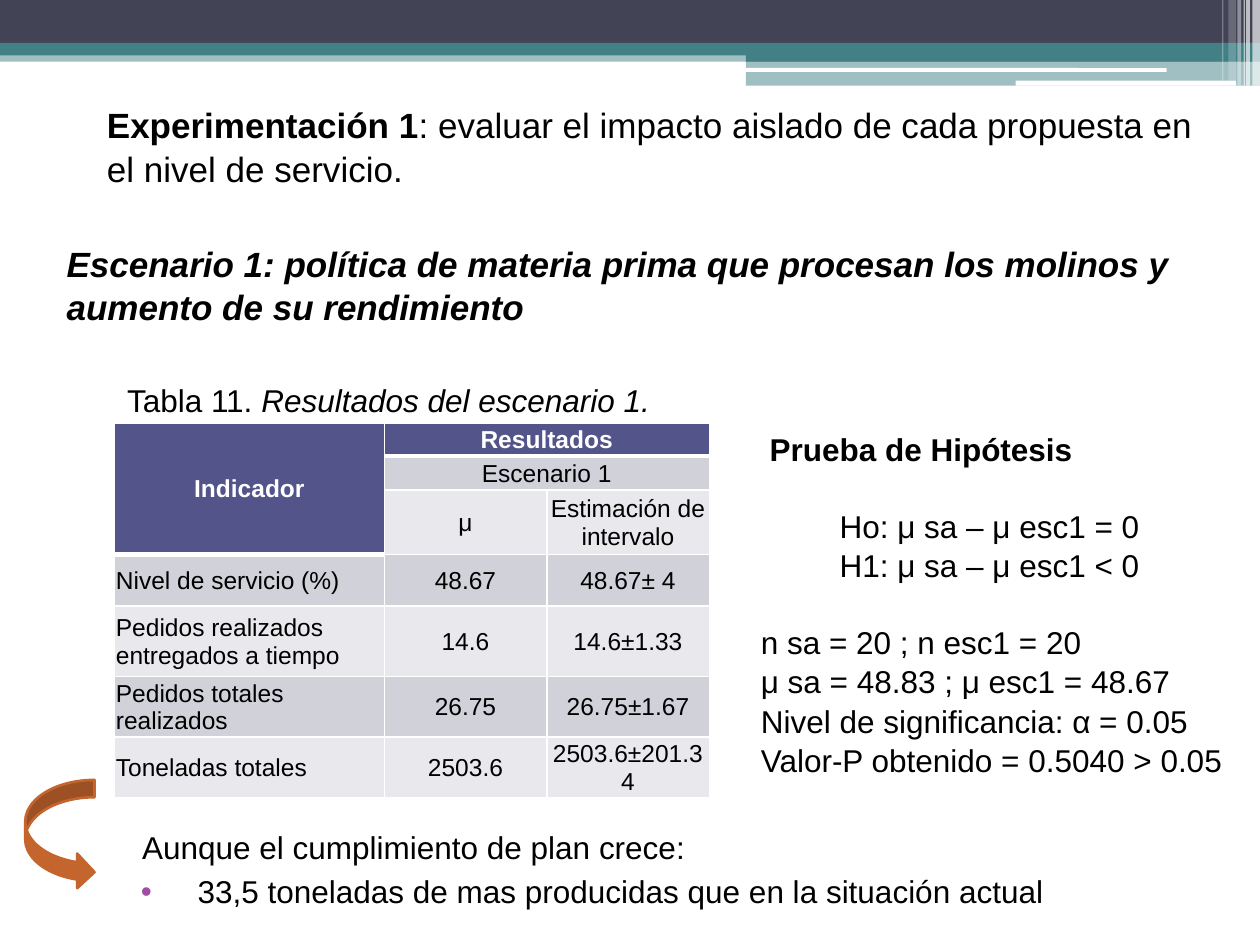
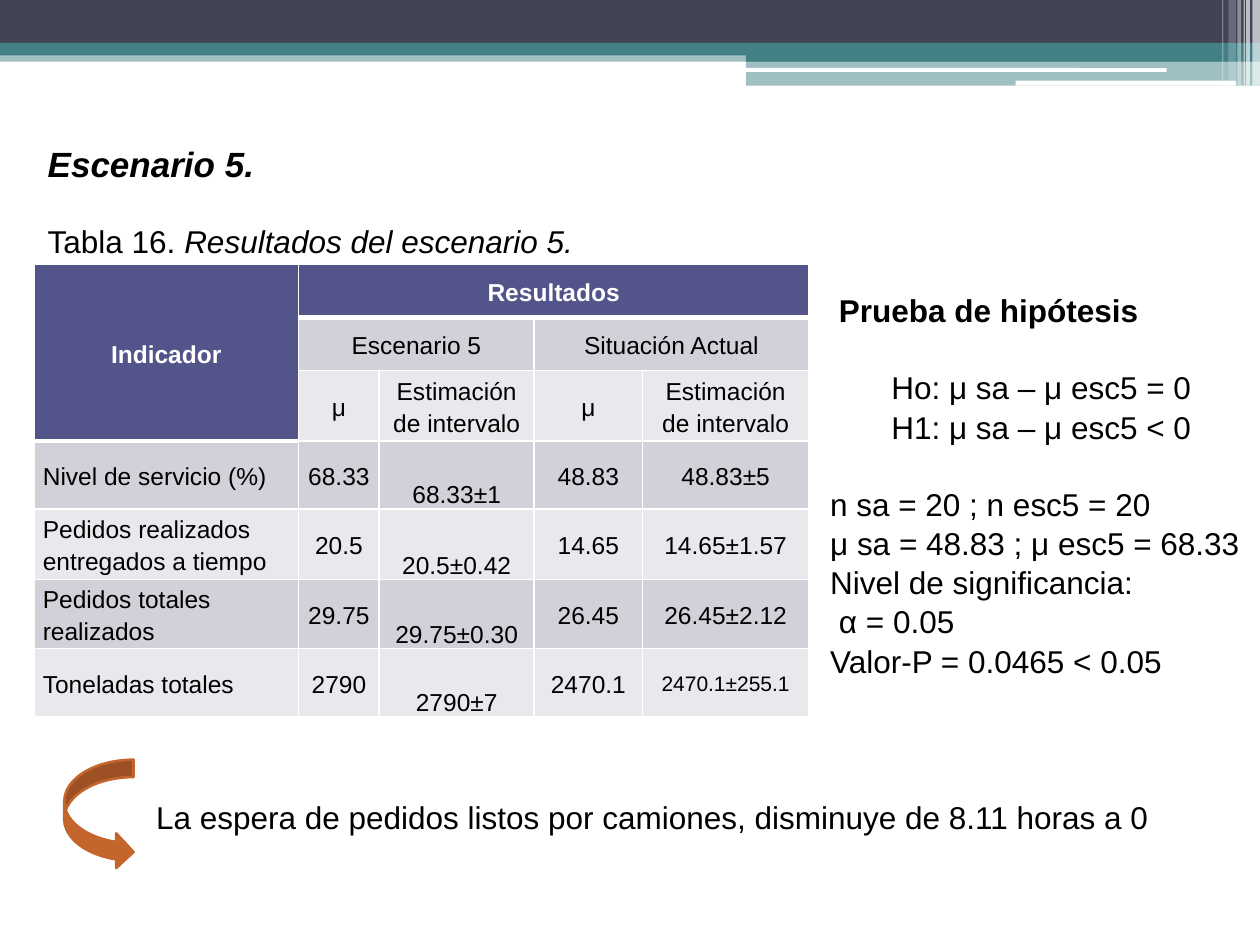
"""Build two slides on experiment results, each with a table and a test."""
from dataclasses import dataclass
from typing import Any

from lxml.etree import SubElement as Sub
from pptx import Presentation as Deck
from pptx.dml.color import RGBColor as Rgb
from pptx.enum.shapes import MSO_SHAPE as Kind
from pptx.enum.text import MSO_ANCHOR as Anchor, PP_ALIGN as Align
from pptx.oxml.ns import qn
from pptx.util import Inches, Pt

WIDE, TALL = Inches(10), Inches(7.5)
COLS, ROWS = 100, 75


@dataclass(frozen=True)
class Theme:
    """Colours, font and type sizes of the deck."""
    face: str = "Arial"
    ink: str = "000000"
    white: str = "FFFFFF"
    slate: str = "424456"
    teal: str = "438086"
    head: str = "53548A"
    dark: str = "D1D1DA"
    light: str = "E9E9ED"
    rust: str = "C4652D"
    dot: str = "A04DA3"
    title: int = 20
    body: int = 18
    cell: int = 14
    small: int = 12
    lead: float = 1.04
    blank: float = 21.6


T = Theme()


@dataclass(frozen=True)
class Box:
    """A place on the grid, in columns and rows."""
    x: float
    y: float
    w: float
    h: float


@dataclass(frozen=True)
class Band:
    """A filled bar of the page header."""
    box: Box
    fill: str
    alpha: int = 100
    kind: Any = Kind.RECTANGLE


@dataclass(frozen=True)
class Bit:
    """A stretch of text in one style."""
    text: str
    bold: bool = False
    slant: bool = False


@dataclass(frozen=True)
class Line:
    """A paragraph with its gap in points and its indent in columns."""
    bits: tuple[Bit, ...]
    gap: float = 0
    left: float = 0
    hang: float = 0
    mark: str = ""


@dataclass(frozen=True)
class Grid:
    """A table with its sizes, merged spans and cell style."""
    x: float
    y: float
    cols: tuple[float, ...]
    rows: tuple[float, ...]
    cells: tuple[tuple[str, ...], ...]
    spans: tuple[tuple[int, int, int, int], ...]
    side: float
    top: float
    lead: float
    low: int = -1
    tight: str = ""


BANDS = (
    Band(Box(0, 4, 100, 0.9), T.teal, 50),
    Band(Box(0, 0, 100, 3.4), T.slate),
    Band(Box(0, 3.4, 100, 1), T.teal),
    Band(Box(59.2, 3.9, 40.8, 1), T.teal),
    Band(Box(59.2, 4.8, 40.8, 2), T.teal, 50),
    Band(Box(59.1, 5.4, 33.5, 0.3), T.white, 100, Kind.ROUNDED_RECTANGLE),
    Band(Box(80.6, 6.4, 17.5, 0.4), T.white, 100, Kind.ROUNDED_RECTANGLE),
    *(Band(Box(x, 0, w, h), T.white, a) for x, w, h, a in (
        (99.4, 0.6, 6.8, 65), (98.9, 0.3, 6.8, 65), (98.7, 0.1, 6.8, 60),
        (98.2, 0.3, 6.8, 40), (97.5, 0.6, 6.4, 20), (97, 0.1, 6.4, 30))),
)

NAMES = ("Nivel de servicio (%)", "Pedidos realizados entregados a tiempo",
         "Pedidos totales realizados", "Toneladas totales")
SPAN = "Estimación de intervalo"


def col(n: float) -> int:
    """Turn grid columns into a length."""
    return round(WIDE * n / COLS)


def row(n: float) -> int:
    """Turn grid rows into a length."""
    return round(TALL * n / ROWS)


def place(box: Box) -> tuple[int, int, int, int]:
    """Turn a box into left, top, width and height."""
    return col(box.x), row(box.y), col(box.w), row(box.h)


def shape(slide: Any, kind: Any, box: Box, fill: str) -> Any:
    """Draw a flat shape with no outline."""
    item = slide.shapes.add_shape(kind, *place(box))
    item.shadow.inherit = False
    item.fill.solid()
    item.fill.fore_color.rgb = Rgb.from_string(fill)
    item.line.fill.background()
    return item


def header(slide: Any) -> None:
    """Draw the bands along the top."""
    for band in BANDS:
        item = shape(slide, band.kind, band.box, band.fill)
        if band.alpha < 100:
            tint = item.element.spPr.find(f".//{qn('a:srgbClr')}")
            Sub(tint, qn("a:alpha"), val=str(band.alpha * 1000))


def arrow(slide: Any, x: float, y: float) -> None:
    """Draw the curved arrow that leads to the finding."""
    item = shape(slide, Kind.CURVED_RIGHT_ARROW, Box(x, y, 5.5, 8.7), T.rust)
    item.line.color.rgb = Rgb.from_string(T.rust)
    item.line.width = Pt(1.5)


def style(para: Any, size: int, tint: str) -> None:
    """Set face, size and colour of a paragraph."""
    para.font.name = T.face
    para.font.size = Pt(size)
    para.font.color.rgb = Rgb.from_string(tint)


def indent(para: Any, line: Line) -> None:
    """Set the indent and the bullet of a paragraph."""
    props = para._p.get_or_add_pPr()
    props.set("marL", str(col(line.left)))
    props.set("indent", str(-col(line.hang)))
    if line.mark:
        Sub(Sub(props, qn("a:buClr")), qn("a:srgbClr"), val=T.dot)
        Sub(props, qn("a:buFont"), typeface=T.face)
        Sub(props, qn("a:buChar"), char=line.mark)


def write(slide: Any, box: Box, lines: tuple[Line, ...],
          size: int = T.body) -> None:
    """Put lines of text in a box."""
    frame = slide.shapes.add_textbox(*place(box)).text_frame
    frame.word_wrap = True
    for i, line in enumerate(lines):
        para = frame.add_paragraph() if i else frame.paragraphs[0]
        para.line_spacing = T.lead
        if line.gap:
            para.space_before = Pt(line.gap)
        indent(para, line)
        style(para, size, T.ink)
        runs = [para.add_run() for _ in line.bits]
        for run, bit in zip(runs, line.bits):
            run.text = bit.text
            font = run.font if len(runs) > 1 else para.font
            font.bold, font.italic = bit.bold, bit.slant


def plain(text: str, gap: float = 0, left: float = 0) -> Line:
    """Make a line in the plain style."""
    return Line((Bit(text),), gap, left)


def label(slide: Any, box: Box, num: str, text: str) -> None:
    """Write the caption of a table."""
    write(slide, box, (Line((Bit(f"Tabla {num}. "), Bit(text, slant=True))),))


def proof(slide: Any, box: Box, head: str, left: float, case: str,
          facts: tuple[Line, ...]) -> None:
    """Write the test: its head, both claims and the facts."""
    write(slide, box, (
        Line((Bit(head, bold=True),), left=0.7),
        plain(f"Ho: μ sa – μ {case} = 0", T.blank, left),
        plain(f"H1: μ sa – μ {case} < 0", 0, left),
        plain(f"n sa = 20 ; n {case} = 20", T.blank), *facts))


def border(cell: Any, thick: bool) -> None:
    """Give a cell white rules, with a thick one below if asked."""
    props = cell._tc.get_or_add_tcPr()
    for i, side in enumerate("LRTB"):
        width = Pt(3 if thick and side == "B" else 1)
        edge = Sub(props, qn(f"a:ln{side}"), w=str(width))
        Sub(Sub(edge, qn("a:solidFill")), qn("a:srgbClr"), val=T.white)
        props.insert(i, edge)


def table(slide: Any, grid: Grid) -> None:
    """Draw a table of results."""
    box = Box(grid.x, grid.y, sum(grid.cols), sum(grid.rows))
    item = slide.shapes.add_table(
        len(grid.rows), len(grid.cols), *place(box)).table
    for c, width in enumerate(grid.cols):
        item.columns[c].width = col(width)
    for r, texts in enumerate(grid.cells):
        item.rows[r].height = row(grid.rows[r])
        for c, text in enumerate(texts):
            cell = item.cell(r, c)
            head = r == 0 or (c == 0 and r < 3)
            fill = T.head if head else T.dark if r % 2 else T.light
            cell.fill.solid()
            cell.fill.fore_color.rgb = Rgb.from_string(fill)
            border(cell, head)
            cell.margin_left = cell.margin_right = col(grid.side)
            cell.margin_top, cell.margin_bottom = row(grid.top), 0
            low = r > 2 and c == grid.low
            cell.vertical_anchor = Anchor.BOTTOM if low else Anchor.MIDDLE
            para = cell.text_frame.paragraphs[0]
            para.alignment = Align.LEFT if c == 0 and r > 2 else Align.CENTER
            para.line_spacing = grid.lead
            tight = bool(text) and text == grid.tight
            style(para, T.small if tight else T.cell,
                  T.white if head else T.ink)
            para.font.bold = head
            if text:
                para.add_run().text = text
    for top, left, end, last in grid.spans:
        item.cell(top, left).merge(item.cell(end, last))


def first(slide: Any) -> None:
    """Fill the slide on scenario 1."""
    write(slide, Box(7.5, 7.6, 88.2, 11.1), (Line((
        Bit("Experimentación 1", bold=True),
        Bit(": evaluar el impacto aislado de cada propuesta en el nivel "
            "de servicio."))),), T.title)
    write(slide, Box(4.3, 18.6, 89.8, 7.7), (Line((Bit(
        "Escenario 1: política de materia prima que procesan los molinos y "
        "aumento de su rendimiento", True, True),)),), T.title)
    proof(slide, Box(59.4, 33.5, 40.9, 28.3), "Prueba de Hipótesis", 6.25,
          "esc1", (plain("μ sa = 48.83 ; μ esc1 = 48.67"),
                   plain("Nivel de significancia: α = 0.05"),
                   plain("Valor-P obtenido = 0.5040 > 0.05")))
    label(slide, Box(9.1, 29.6, 55.1, 7.1), "11", "Resultados del escenario 1.")
    data = (("48.67", "48.67± 4"), ("14.6", "14.6±1.33"),
            ("26.75", "26.75±1.67"), ("2503.6", "2503.6±201.34"))
    table(slide, Grid(
        9.1, 33.6, (21.4, 12.9, 12.9), (2.6, 2.7, 5.1, 4.1, 5.6, 4.8, 4.8),
        (("Indicador", "Resultados", ""), ("", "Escenario 1", ""),
         ("", "μ", SPAN), *((n, *d) for n, d in zip(NAMES, data))),
        ((0, 0, 2, 0), (0, 1, 0, 2), (1, 1, 1, 2)), 0.1, 0.1, 1))
    write(slide, Box(9.1, 65.1, 89.8, 7.9), (
        plain("Aunque el cumplimiento de plan crece:", 0, 1.2),
        Line((Bit("33,5 toneladas de mas producidas que en la situación "
                  "actual"),), 3, 5.6, 4.5, "•")))
    arrow(slide, 2, 61.9)


def second(slide: Any) -> None:
    """Fill the slide on scenario 5."""
    proof(slide, Box(64.9, 22.5, 38.5, 34.3), "Prueba de hipótesis", 4.86,
          "esc5", (plain("μ sa = 48.83 ; μ esc5 = 68.33"),
                   plain("Nivel de significancia:"),
                   plain("α = 0.05", 0, 0.7),
                   plain("Valor-P = 0.0465 < 0.05")))
    label(slide, Box(2.8, 17, 55.1, 7.1), "16", "Resultados del escenario 5.")
    write(slide, Box(2.8, 10.7, 92.9, 7.7),
          (Line((Bit("Escenario 5.", True, True),)),), T.title)
    write(slide, Box(11.4, 62.7, 89.8, 4), (plain(
        "La espera de pedidos listos por camiones, disminuye de 8.11 horas "
        "a 0"),))
    data = (("68.33", "68.33±1", "48.83", "48.83±5"),
            ("20.5", "20.5±0.42", "14.65", "14.65±1.57"),
            ("29.75", "29.75±0.30", "26.45", "26.45±2.12"),
            ("2790", "2790±7", "2470.1", "2470.1±255.1"))
    table(slide, Grid(
        2.7, 21, (21, 6.4, 12.3, 8.6, 13.2),
        (4.2, 4.2, 5.6, 5.4, 5.6, 5.5, 5.4),
        (("Indicador", "Resultados", "", "", ""),
         ("", "Escenario 5", "", "Situación Actual", ""),
         ("", "μ", SPAN, "μ", SPAN),
         *((n, *d) for n, d in zip(NAMES, data))),
        ((0, 0, 2, 0), (0, 1, 0, 4), (1, 1, 1, 2), (1, 3, 1, 4)),
        0.7, 0, 1.15, 2, "2470.1±255.1"))
    arrow(slide, 5.1, 60.3)


def main() -> None:
    """Build and save the deck."""
    deck = Deck()
    deck.slide_width, deck.slide_height = WIDE, TALL
    for fill in (first, second):
        slide = deck.slides.add_slide(deck.slide_layouts[6])
        header(slide)
        fill(slide)
    deck.save("out.pptx")


if __name__ == "__main__":
    main()
